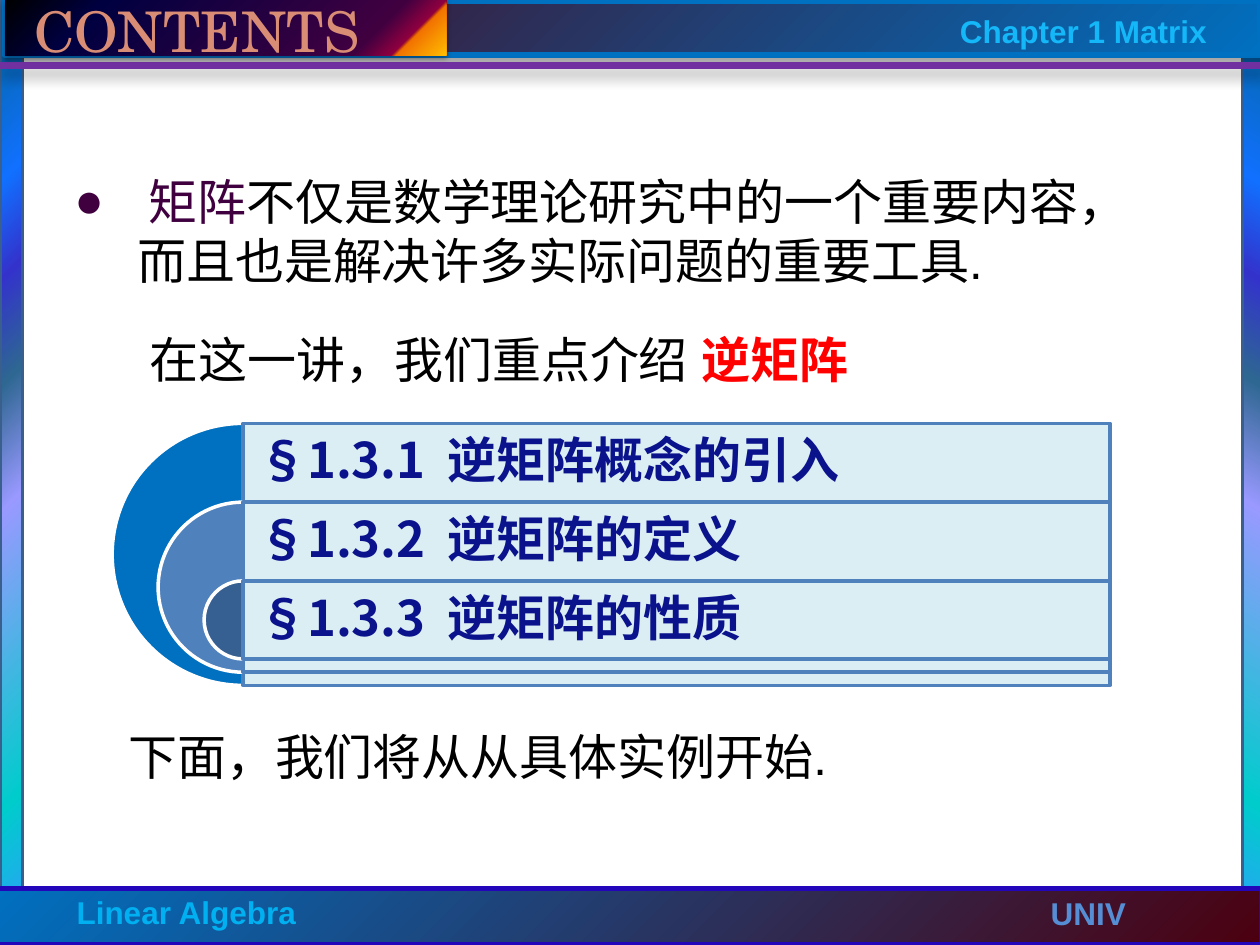
"""Build the matrix chapter contents slide."""
import dataclasses
import typing

import pptx
import pptx.dml.color
import pptx.enum.dml
import pptx.enum.shapes
import pptx.enum.text
import pptx.oxml
import pptx.oxml.ns
import pptx.util

Inches = pptx.util.Inches
Pt = pptx.util.Pt
Preset = pptx.enum.shapes.MSO_SHAPE
Anchor = pptx.enum.text.MSO_ANCHOR
Stops = tuple[tuple[int, str], ...]
NAMESPACE = pptx.oxml.ns.nsdecls("a")


@dataclasses.dataclass(frozen=True)
class Theme:
    latin: str = "Arial"
    chinese: str = "Noto Sans CJK SC"
    banner_font: str = "TeX Gyre Schola"
    label_size: float = 18
    body_size: float = 28
    banner_size: float = 32
    black: str = "000000"
    plum: str = "400040"
    red: str = "FF0000"
    navy: str = "0A128C"
    banner: str = "D98D75"
    white: str = "FFFFFF"
    panel: str = "DBEEF4"
    border: str = "4F81BD"
    blue: str = "0070C0"
    side_line: str = "3A5F8C"
    footer_line: str = "2406BA"
    rule: str = "7030A0"
    side: Stops = ((0, "3399FF"), (16, "00CCCC"), (47, "9999FF"), (60, "2E6792"),
                   (71, "3333CC"), (81, "1170FF"), (100, "006699"))
    bar: Stops = ((0, "0070C0"), (100, "4C000F"))
    sunset: Stops = ((0, "000000"), (20, "000040"), (81, "400040"), (89, "8F0040"),
                     (90, "F27300"), (97, "FBA600"), (100, "FFBF00"))


THEME = Theme()


class Box(typing.NamedTuple):
    left: float
    top: float
    width: float
    height: float

    def lengths(self) -> list[int]:
        return [Inches(value) for value in self]


class Run(typing.NamedTuple):
    text: str
    color: str = THEME.black
    font: str = THEME.latin
    size: float = THEME.body_size
    bold: bool = False


class Bar(typing.NamedTuple):
    box: Box
    stops: Stops
    direction: str
    line: str
    width: float
    shadow: bool = False


class Topic(typing.NamedTuple):
    text: str
    pie_color: str


def rgb(color: str) -> pptx.dml.color.RGBColor:
    return pptx.dml.color.RGBColor.from_string(color)


def circle(left: int, top: int, right: int, bottom: int) -> str:
    return (f'<a:path path="circle"><a:fillToRect l="{left}000" t="{top}000" '
            f'r="{right}000" b="{bottom}000"/></a:path>')


def linear(angle: int) -> str:
    return f'<a:lin ang="{angle * 60000}" scaled="0"/>'


def fill_gradient(shape, stops: Stops, direction: str) -> None:
    shape.fill.solid()
    solid = shape.element.spPr.find(pptx.oxml.ns.qn("a:solidFill"))
    marks = "".join(f'<a:gs pos="{position * 1000}"><a:srgbClr val="{color}"/></a:gs>'
                    for position, color in stops)
    solid.getparent().replace(solid, pptx.oxml.parse_xml(
        f'<a:gradFill {NAMESPACE} rotWithShape="1"><a:gsLst>{marks}</a:gsLst>{direction}</a:gradFill>'))


def shadow_effects(blur: float, distance: float, alpha: int):
    return pptx.oxml.parse_xml(
        f'<a:effectLst {NAMESPACE}><a:outerShdw blurRad="{Pt(blur)}" dist="{Pt(distance)}" '
        f'dir="5400000" rotWithShape="0"><a:srgbClr val="000000">'
        f'<a:alpha val="{alpha}000"/></a:srgbClr></a:outerShdw></a:effectLst>')


def add_shadow(shape, blur: float, distance: float, alpha: int) -> None:
    shape.shadow.inherit = False
    effects = shape.element.spPr.find(pptx.oxml.ns.qn("a:effectLst"))
    effects.getparent().replace(effects, shadow_effects(blur, distance, alpha))


def set_line(shape, color: str, width: float) -> None:
    shape.line.color.rgb = rgb(color)
    shape.line.width = Pt(width)


def add_panel(slide, preset, box: Box, color: str, line: str, alpha: int = 100):
    shape = slide.shapes.add_shape(preset, *box.lengths())
    shape.shadow.inherit = False
    shape.fill.solid()
    shape.fill.fore_color.rgb = rgb(color)
    if alpha < 100:
        solid = shape.element.spPr.find(pptx.oxml.ns.qn("a:solidFill"))
        solid[0].append(pptx.oxml.parse_xml(f'<a:alpha {NAMESPACE} val="{alpha}000"/>'))
    set_line(shape, line, 2)
    return shape


def add_bar(slide, bar: Bar) -> None:
    shape = add_panel(slide, Preset.RECTANGLE, bar.box, THEME.blue, bar.line)
    fill_gradient(shape, bar.stops, bar.direction)
    set_line(shape, bar.line, bar.width)
    if bar.shadow:
        add_shadow(shape, 3.5, 2.2, 32)


def write(frame, runs: typing.Sequence[Run], inset: float = 0.1, anchor=Anchor.TOP):
    frame.word_wrap = True
    frame.auto_size = pptx.enum.text.MSO_AUTO_SIZE.NONE
    frame.vertical_anchor = anchor
    frame.margin_left = frame.margin_right = Inches(inset)
    frame.margin_top = frame.margin_bottom = Inches(0.05)
    paragraph = frame.paragraphs[0]
    paragraph.alignment = pptx.enum.text.PP_ALIGN.LEFT
    for item in runs:
        run = paragraph.add_run()
        run.text = item.text
        run.font.name = item.font
        run.font.size = Pt(item.size)
        run.font.bold = item.bold
        run.font.color.rgb = rgb(item.color)
        run.font.fill.fore_color.rgb = rgb(item.color)
        properties = run.font._element
        properties.find(pptx.oxml.ns.qn("a:latin")).addnext(
            pptx.oxml.parse_xml(f'<a:ea {NAMESPACE} typeface="{item.font}"/>'))
    return paragraph


def add_text(slide, box: Box, *runs: Run, inset: float = 0.1, anchor=Anchor.TOP):
    return write(slide.shapes.add_textbox(*box.lengths()).text_frame, runs, inset, anchor)


def place(shape, box: Box) -> None:
    shape.left, shape.top, shape.width, shape.height = box.lengths()


def add_rule(slide) -> None:
    rule = slide.shapes.add_connector(pptx.enum.shapes.MSO_CONNECTOR.STRAIGHT,
                                      0, Inches(0.52), Inches(10.04), Inches(0.52))
    set_line(rule, THEME.rule, 3.75)
    rule.element.spPr.append(shadow_effects(8, 4, 38))


def add_body(body) -> None:
    place(body, Box(0.49, 1.31, 8.76, 4.65))
    paragraph = write(body.text_frame, [
        Run(" ", THEME.plum, THEME.chinese, bold=True),
        Run("矩阵", THEME.plum),
        Run("不仅是数学理论研究中的一个重要内容，而且也是解决许多实际问题的重要工具.")])
    paragraph.space_before = Pt(5.6)
    properties = paragraph._p.get_or_add_pPr()
    properties.set("marL", str(Inches(0.5)))
    properties.set("indent", str(-Inches(0.5)))
    properties.append(pptx.oxml.parse_xml(f'<a:buChar {NAMESPACE} char="●"/>'))


def add_topics(slide, topics: typing.Sequence[Topic]) -> None:
    center, width, step = 1.93, 6.88, 0.625
    for index, topic in enumerate(topics):
        top, size = 3.36 + step * index, 2.08 - 0.73 * index
        pie = add_panel(slide, Preset.PIE, Box(center - size / 2, top, size, size),
                        topic.pie_color, THEME.white)
        pie.adjustments[0], pie.adjustments[1] = 54, 162
        add_panel(slide, Preset.RECTANGLE, Box(center, top, width, size), THEME.panel,
                  THEME.border, 90 if index else 100)
        paragraph = add_text(slide, Box(center, top, width, step),
                             Run(topic.text, THEME.navy, THEME.chinese, bold=True),
                             inset=0.12, anchor=Anchor.MIDDLE)
        paragraph.line_spacing = 0.9


def add_banner(title) -> None:
    place(title, Box(0.04, 0, 3.5, 0.44))
    fill_gradient(title, THEME.sunset, linear(45))
    title.line.fill.background()
    add_shadow(title, 3.1, 1.8, 35)
    write(title.text_frame, [Run(" ", THEME.banner, "Noto Sans", 36),
                             Run("CONTENTS", THEME.banner, THEME.banner_font, THEME.banner_size)],
          anchor=Anchor.MIDDLE)
    title.element.getparent().append(title.element)


def main() -> None:
    presentation = pptx.Presentation()
    presentation.slide_width, presentation.slide_height = Inches(10), Inches(7.5)
    slide = presentation.slides.add_slide(presentation.slide_layouts[1])
    title, body = slide.placeholders
    for bar in (
        Bar(Box(0, 0, 0.18, 7.5), THEME.side, circle(100, 100, 0, 0), THEME.side_line, 2),
        Bar(Box(9.86, 0.03, 0.18, 7.5), THEME.side, linear(300), THEME.side_line, 2),
        Bar(Box(-0.03, 7.05, 10.04, 0.45), THEME.bar, circle(0, 0, 100, 100), THEME.footer_line, 3),
        Bar(Box(0.04, 0.01, 9.96, 0.43), THEME.bar, circle(100, 100, 0, 0), THEME.blue, 3.5, True),
    ):
        add_bar(slide, bar)
    add_rule(slide)
    for text, color, box in (
        ("Linear Algebra", "00B0F0", Box(0.51, 7.04, 2.2, 0.4)),
        ("UNIV", "558ED5", Box(8.24, 7.05, 1.11, 0.4)),
        ("Chapter 1 Matrix", "14B7F8", Box(7.52, 0.05, 2.25, 0.4)),
    ):
        add_text(slide, box, Run(text, color, size=THEME.label_size, bold=True))
    add_body(body)
    add_text(slide, Box(1.09, 2.57, 8.17, 0.57), Run("在这一讲，我们重点介绍 "),
             Run("逆矩阵", THEME.red, THEME.chinese, bold=True))
    add_topics(slide, (Topic("§1.3.1  逆矩阵概念的引入", THEME.blue),
                       Topic("§1.3.2  逆矩阵的定义", THEME.border),
                       Topic("§1.3.3  逆矩阵的性质", "376092")))
    add_text(slide, Box(0.92, 5.72, 8.33, 0.57), Run("下面，我们将从从具体实例开始."))
    add_banner(title)
    presentation.save("out.pptx")


main()
